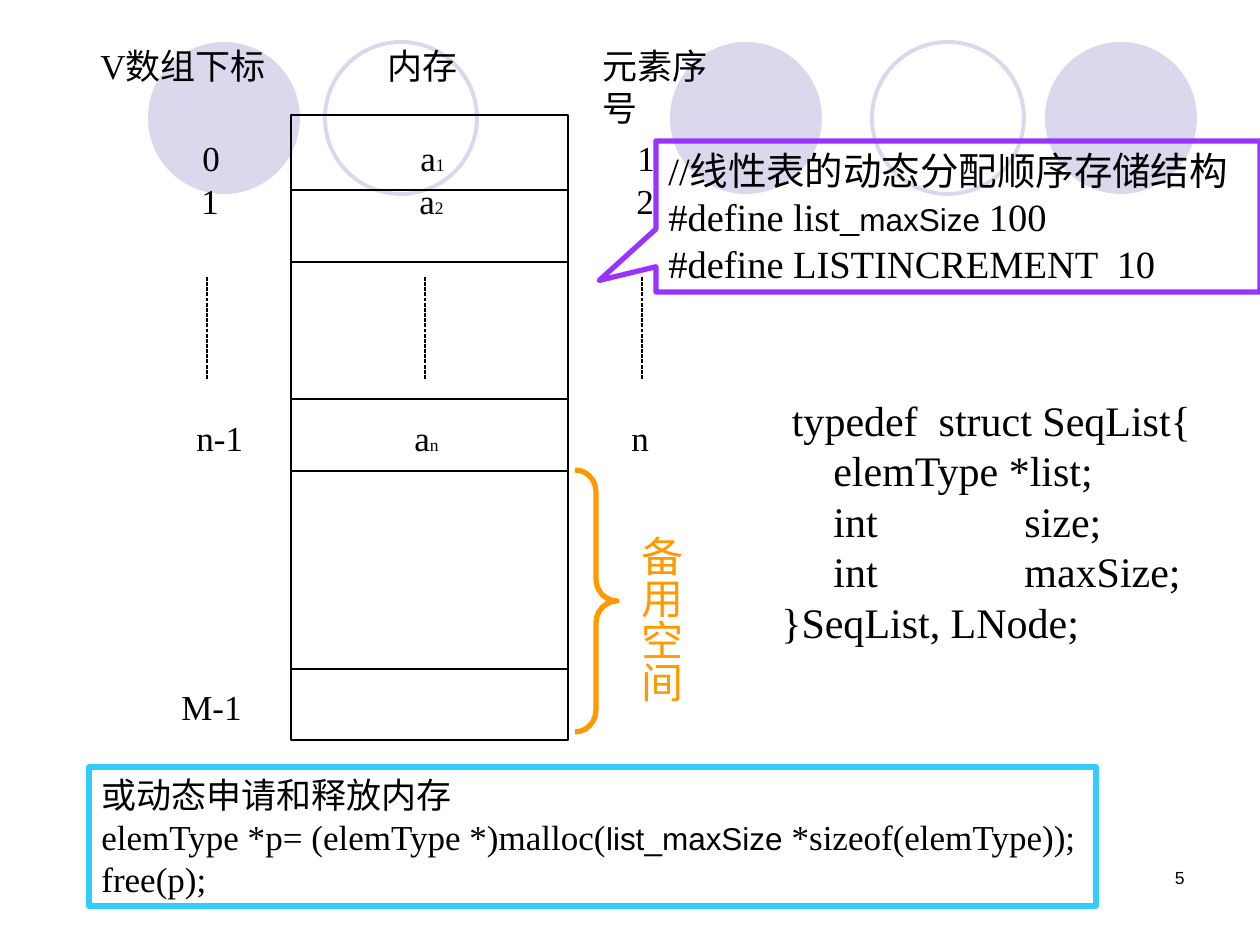
from lxml.etree import SubElement
from pptx import Presentation
from pptx.dml.color import RGBColor
from pptx.enum.dml import MSO_LINE
from pptx.enum.shapes import MSO_CONNECTOR, MSO_SHAPE as Shape
from pptx.enum.text import MSO_ANCHOR as Anchor, PP_ALIGN as Align
from pptx.oxml.ns import qn
from pptx.util import Emu, Pt

SERIF, SANS = "Times New Roman", "Arial"
BLACK, LILAC, PURPLE, ORANGE, CYAN = "000000", "D9D8EC", "9933FF", "FF9900", "33CCFF"

# Background circles: left, filled
CIRCLES = [(670, True), (1045, True), (148, True), (872, False), (325, False)]
CIRCLE_TOP, CIRCLE_SIZE = 42, 152

# Memory diagram
HEADERS = [(88, 199, "V数组下标"), (375, 95, "内存"), (590, 165, "元素序号")]
HEADER_TOP, LABEL_HEIGHT = 38, 55
MEMORY = (291, 115, 277, 625)
DIVIDERS = [190, 262, 399, 471, 669]
COLUMNS = [190, 408, 625]
ROWS = [  # top, shift, index / element / ordinal
    (130, 0, ["0", ("a", "1"), "1"]),
    (173, -1, ["1", ("a", "2"), "2"]),
    (410, -6, ["n-1", ("a", "n"), "n"]),
]
LAST_INDEX = (169, 679, 86, "M-1")
DOTS_SHIFT, DOTS_TOP, DOTS_BOTTOM = 17, 277, 380

# Each line is a list of (text, size, font) runs
CONSTANTS = [
    [("//线性表的动态分配顺序存储结构", 22, SERIF)],
    [("#define list_", 22, SERIF), ("maxSize ", 18, SANS), ("100", 22, SERIF)],
    [("#define LISTINCREMENT  10", 22, SERIF)],
]
STRUCT = [[(line, 24, SERIF)] for line in (
    " typedef  struct SeqList{",
    "\telemType *list;",
    "\tint\tsize;",
    "\tint\tmaxSize;",
    "}SeqList, LNode;",
)]
STRUCT_TABS = [52, 243]
ALLOCATION = [
    [("或动态申请和释放内存", 20, SERIF)],
    [("elemType *p= (elemType *)malloc(", 20, SERIF), ("list_maxSize ", 18, SANS),
     ("*sizeof(elemType));", 20, SERIF)],
    [("free(p);", 20, SERIF)],
]
SPARE = [[("备用空间", 24, SERIF)]]
PAGE = [[("5", 10, SANS)]]


def px(value):
    return Emu(round(value * 914400 / 126))


def color(value):
    return RGBColor.from_string(value)


def write(frame, lines, ink=BLACK, align=Align.LEFT, tabs=(), **options):
    """Fill a text frame with lines of runs; options are frame attributes."""
    defaults = {
        "word_wrap": False, "vertical_anchor": Anchor.TOP,
        "margin_left": Pt(7.2), "margin_right": Pt(7.2),
        "margin_top": Pt(3.6), "margin_bottom": Pt(3.6),
    }
    for name, value in (defaults | options).items():
        setattr(frame, name, value)
    for number, runs in enumerate(lines):
        paragraph = frame.add_paragraph() if number else frame.paragraphs[0]
        paragraph.alignment = align
        if tabs:
            stops = SubElement(paragraph._p.get_or_add_pPr(), qn("a:tabLst"))
            for stop in tabs:
                SubElement(stops, qn("a:tab"), pos=str(px(stop)), algn="l")
        for text, size, font in runs:
            run = paragraph.add_run()
            run.text = text
            run.font.size, run.font.name = Pt(size), font
            run.font.color.rgb = color(ink)


def add_shape(slide, kind, box, fill=None, line=None, width=0.75):
    shape = slide.shapes.add_shape(kind, *map(px, box))
    shape.shadow.inherit = False
    if fill:
        shape.fill.solid()
        shape.fill.fore_color.rgb = color(fill)
    else:
        shape.fill.background()
    if line:
        shape.line.color.rgb = color(line)
        shape.line.width = Pt(width)
    else:
        shape.line.fill.background()
    return shape


def add_line(slide, start, end, dash=None):
    line = slide.shapes.add_connector(MSO_CONNECTOR.STRAIGHT, *map(px, start + end))
    line.line.color.rgb = color(BLACK)
    line.line.width = Pt(0.75)
    if dash:
        line.line.dash_style = dash
    SubElement(line._element.spPr, qn("a:effectLst"))


def add_text(slide, box, lines, **options):
    frame = slide.shapes.add_textbox(*map(px, box)).text_frame
    write(frame, lines, **options)
    return frame


def add_label(slide, left, top, width, text, subscript=""):
    runs = [(text, 20, SERIF)]
    if subscript:
        runs.append((subscript, 10, SERIF))
    add_text(slide, (left, top, width, LABEL_HEIGHT), [runs])


def draw_memory(slide):
    add_shape(slide, Shape.RECTANGLE, MEMORY, line=BLACK)
    left, right = MEMORY[0], MEMORY[0] + MEMORY[2]
    for y in DIVIDERS:
        add_line(slide, (left, y), (right, y))
    for left, width, header in HEADERS:
        add_label(slide, left, HEADER_TOP, width, header)
    for top, shift, labels in ROWS:
        for left, label in zip(COLUMNS, labels):
            parts = (label,) if isinstance(label, str) else label
            width = 25 + 18 * max(len("".join(parts)), 1)
            add_label(slide, left + shift, top, width, *parts)
    for left in COLUMNS:
        x = left + DOTS_SHIFT
        add_line(slide, (x, DOTS_TOP), (x, DOTS_BOTTOM), MSO_LINE.SQUARE_DOT)
    add_label(slide, *LAST_INDEX)


def main():
    deck = Presentation()
    deck.slide_width, deck.slide_height = px(1260), px(945)
    slide = deck.slides.add_slide(deck.slide_layouts[6])

    for left, filled in CIRCLES:
        style = {"fill": LILAC} if filled else {"line": LILAC, "width": 2.25}
        add_shape(slide, Shape.OVAL, (left, CIRCLE_TOP, CIRCLE_SIZE, CIRCLE_SIZE), **style)

    draw_memory(slide)

    callout = add_shape(slide, Shape.RECTANGULAR_CALLOUT, (656, 141, 604, 151),
                        line=PURPLE, width=3)
    callout.adjustments[0], callout.adjustments[1] = -0.594, 0.424
    write(callout.text_frame, CONSTANTS, word_wrap=True, vertical_anchor=Anchor.MIDDLE)

    add_text(slide, (769, 388, 435, 265), STRUCT, tabs=STRUCT_TABS,
             vertical_anchor=Anchor.MIDDLE)

    brace = add_shape(slide, Shape.RIGHT_BRACE, (575, 470, 42, 262), line=ORANGE, width=3)
    brace.adjustments[0] = 0.52
    spare = add_text(slide, (617, 523, 76, 195), SPARE, ink=ORANGE, word_wrap=True,
                     margin_left=Pt(3.6), margin_right=Pt(3.6),
                     margin_top=Pt(7.2), margin_bottom=Pt(7.2))
    spare._txBody.bodyPr.set("vert", "eaVert")

    allocation = add_shape(slide, Shape.RECTANGLE, (89, 767, 1007, 139),
                           fill="FFFFFF", line=CYAN, width=3)
    write(allocation.text_frame, ALLOCATION, vertical_anchor=Anchor.MIDDLE)

    add_text(slide, (903, 861, 294, 63), PAGE, align=Align.RIGHT, word_wrap=True)
    deck.save("out.pptx")


if __name__ == "__main__":
    main()
